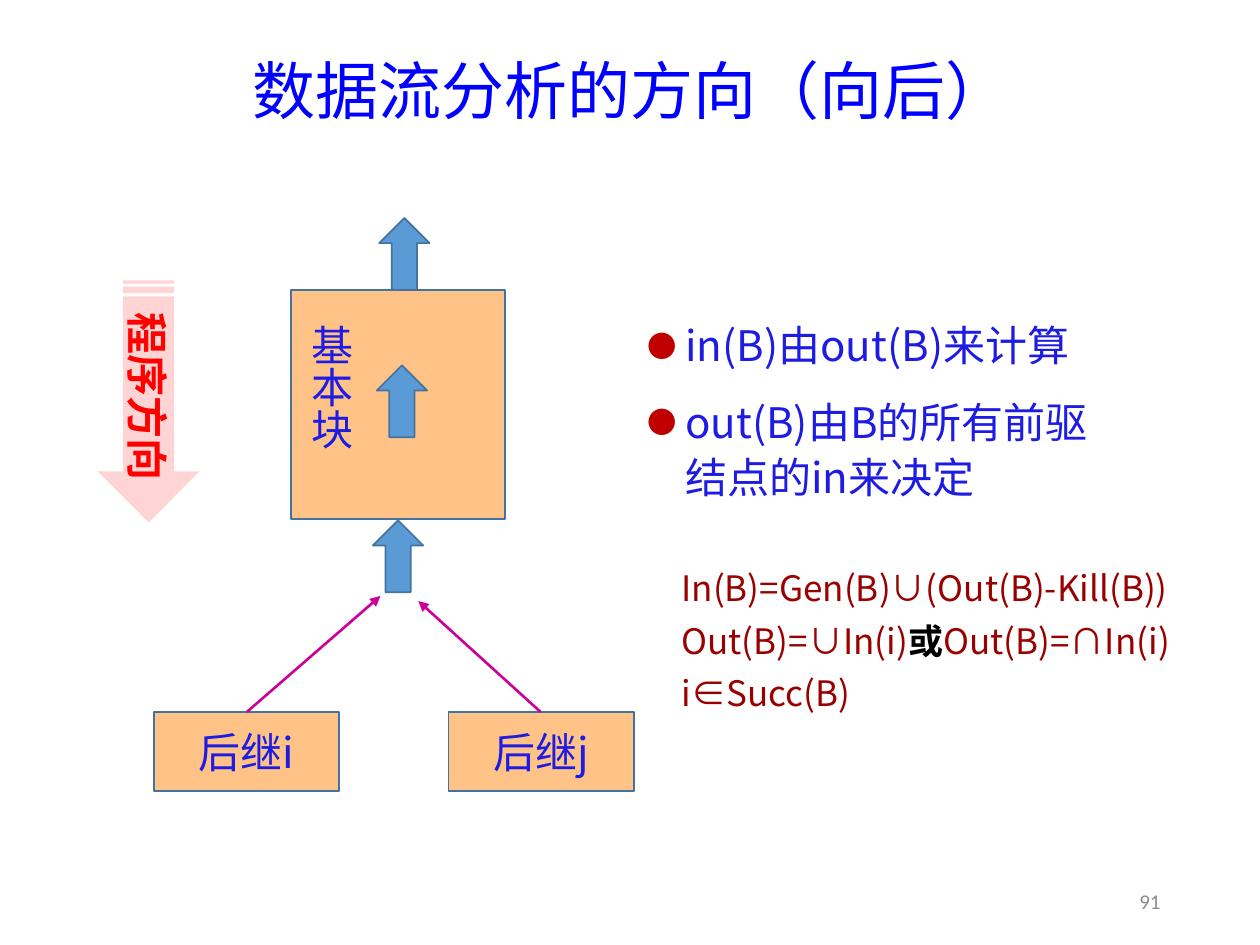
from dataclasses import dataclass

from lxml import etree
from pptx import Presentation
from pptx.dml.color import RGBColor
from pptx.enum.shapes import MSO_CONNECTOR, MSO_SHAPE
from pptx.enum.text import MSO_ANCHOR, MSO_AUTO_SIZE, PP_ALIGN
from pptx.oxml.ns import qn
from pptx.util import Inches, Pt

RECT = MSO_SHAPE.RECTANGLE
UP_ARROW = MSO_SHAPE.UP_ARROW
STRIPED_ARROW = MSO_SHAPE.STRIPED_RIGHT_ARROW
STRAIGHT = MSO_CONNECTOR.STRAIGHT
TOP, MIDDLE = MSO_ANCHOR.TOP, MSO_ANCHOR.MIDDLE
LEFT, CENTER, RIGHT = PP_ALIGN.LEFT, PP_ALIGN.CENTER, PP_ALIGN.RIGHT


@dataclass(frozen=True)
class Theme:
    title: str = "0000FF"
    text: str = "1E1CE3"
    formula: str = "990000"
    black: str = "000000"
    red: str = "FF0000"
    bullet: str = "C00000"
    number: str = "8C8C8C"
    block: str = "FF9933"
    arrow: str = "5B9BD5"
    outline: str = "43739E"
    link: str = "CC0099"
    font: str = "Noto Sans CJK SC"
    title_font: str = "Noto Sans CJK JP"
    number_font: str = "Calibri"
    title_size: int = 36
    body_size: int = 24
    formula_size: int = 20
    number_size: int = 12


T = Theme()


def write(sp, paragraphs, size=T.body_size, color=T.text, font=T.font, bold=False,
          align=CENTER, anchor=MIDDLE, spacing=None, before=0, after=0):
    tf = sp.text_frame
    tf.word_wrap = True
    tf.auto_size = MSO_AUTO_SIZE.NONE
    tf.vertical_anchor = anchor
    for i, runs in enumerate(paragraphs):
        p = tf.add_paragraph() if i else tf.paragraphs[0]
        p.alignment = align
        p.space_before = Pt(before if i else 0)
        p.space_after = Pt(after)
        if spacing:
            p.line_spacing = spacing
        for text, run_color, run_bold in [(r, color, bold) if isinstance(r, str) else r for r in runs]:
            r = p.add_run()
            r.text = text
            r.font.size = Pt(size)
            r.font.bold = run_bold
            r.font.name = font
            r.font.color.rgb = RGBColor.from_string(run_color)
            etree.SubElement(r.font._element, qn("a:ea"), typeface=font)
    return tf


def add_shape(kind, x, y, w, h, fill, outline=T.outline, alpha=None):
    sp = slide.shapes.add_shape(kind, Inches(x), Inches(y), Inches(w), Inches(h))
    sp.shadow.inherit = False
    sp.fill.solid()
    sp.fill.fore_color.rgb = RGBColor.from_string(fill)
    if alpha:
        clr = sp._element.spPr.find(qn("a:solidFill"))[0]
        etree.SubElement(clr, qn("a:alpha"), val=str(alpha * 1000))
    if outline:
        sp.line.color.rgb = RGBColor.from_string(outline)
        sp.line.width = Pt(1)
    else:
        sp.line.fill.background()
    return sp


prs = Presentation()
prs.slide_width, prs.slide_height = Inches(10), Inches(7.5)
slide = prs.slides.add_slide(prs.slide_layouts[5])

title = slide.shapes.title
title.left, title.top, title.width, title.height = Inches(0.69), Inches(0.4), Inches(8.62), Inches(0.7)
write(title, [["数据流分析的方向（向后）"]], size=T.title_size, color=T.title,
      font=T.title_font, spacing=0.9)

number = slide.shapes.add_textbox(Inches(7.06), Inches(6.95), Inches(2.25), Inches(0.4))
write(number, [["91"]], size=T.number_size, color=T.number, font=T.number_font, align=RIGHT)

add_shape(RECT, 2.31, 2.3, 1.7, 1.82, T.block, alpha=58)
for x, label in [(1.22, "后继i"), (3.56, "后继j")]:
    write(add_shape(RECT, x, 5.65, 1.47, 0.63, T.block, alpha=58), [[label]])

for x, y in [(3.01, 1.73), (2.99, 2.9), (2.96, 4.13)]:
    add_shape(UP_ARROW, x, y, 0.4, 0.57, T.arrow)

for x1, x2, y2 in [(1.96, 3.02, 4.73), (4.29, 3.32, 4.77)]:
    link = slide.shapes.add_connector(STRAIGHT, Inches(x1), Inches(5.65), Inches(x2), Inches(y2))
    link.line.color.rgb = RGBColor.from_string(T.link)
    link.line.width = Pt(1.5)
    etree.SubElement(link.line._get_or_add_ln(), qn("a:tailEnd"), type="triangle")
    etree.SubElement(link._element.spPr, qn("a:effectLst"))

block_label = slide.shapes.add_textbox(Inches(2.31), Inches(2.48), Inches(0.63), Inches(1.43))
tf = write(block_label, [["基本块"]])
tf._txBody.bodyPr.set("vert", "eaVert")

rules = slide.shapes.add_textbox(Inches(5.04), Inches(2.33), Inches(3.75), Inches(1.82))
tf = write(rules, [["in(B)由out(B)来计算"], ["out(B)由B的所有前驱结点的in来决定"]],
           align=LEFT, spacing=1.1, before=6, after=6)
for p in tf.paragraphs:
    pPr = p._p.get_or_add_pPr()
    pPr.set("marL", str(Inches(0.3)))
    pPr.set("indent", str(Inches(-0.3)))
    bullet_color = etree.SubElement(pPr, qn("a:buClr"))
    etree.SubElement(bullet_color, qn("a:srgbClr"), val=T.bullet)
    etree.SubElement(pPr, qn("a:buSzPct"), val="70000")
    etree.SubElement(pPr, qn("a:buFont"), typeface=T.font)
    etree.SubElement(pPr, qn("a:buChar"), char="●")

direction = add_shape(STRIPED_ARROW, 0.22, 2.78, 1.92, 0.81, T.red, outline=None, alpha=17)
direction.rotation = 90
write(direction, [["程序方向"]], color=T.red, bold=True)

formulas = slide.shapes.add_textbox(Inches(5.31), Inches(4.45), Inches(4.31), Inches(1.29))
write(formulas, [["In(B)=Gen(B)∪(Out(B)-Kill(B))"],
                 ["Out(B)=∪In(i)", ("或", T.black, True), "Out(B)=∩In(i)"],
                 ["i∈Succ(B)"]],
      size=T.formula_size, color=T.formula, align=LEFT, anchor=TOP, after=6)

prs.save("out.pptx")
